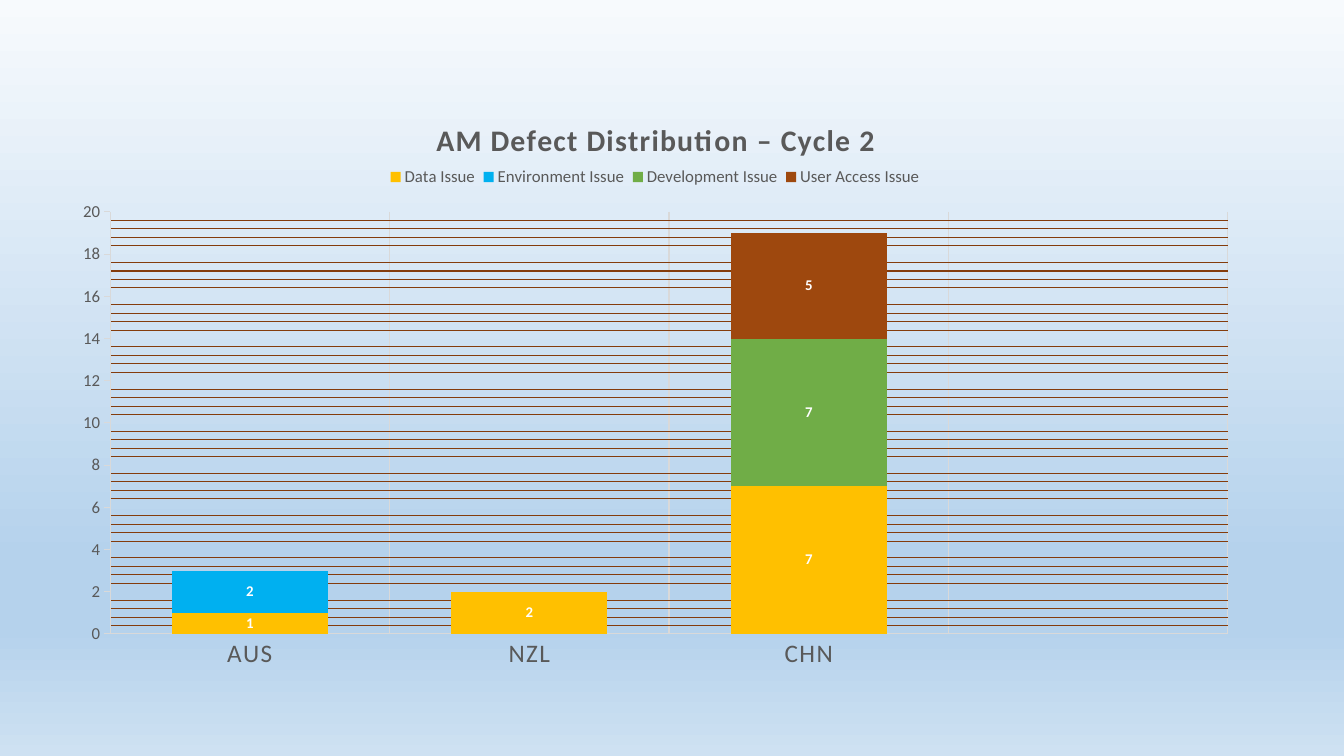
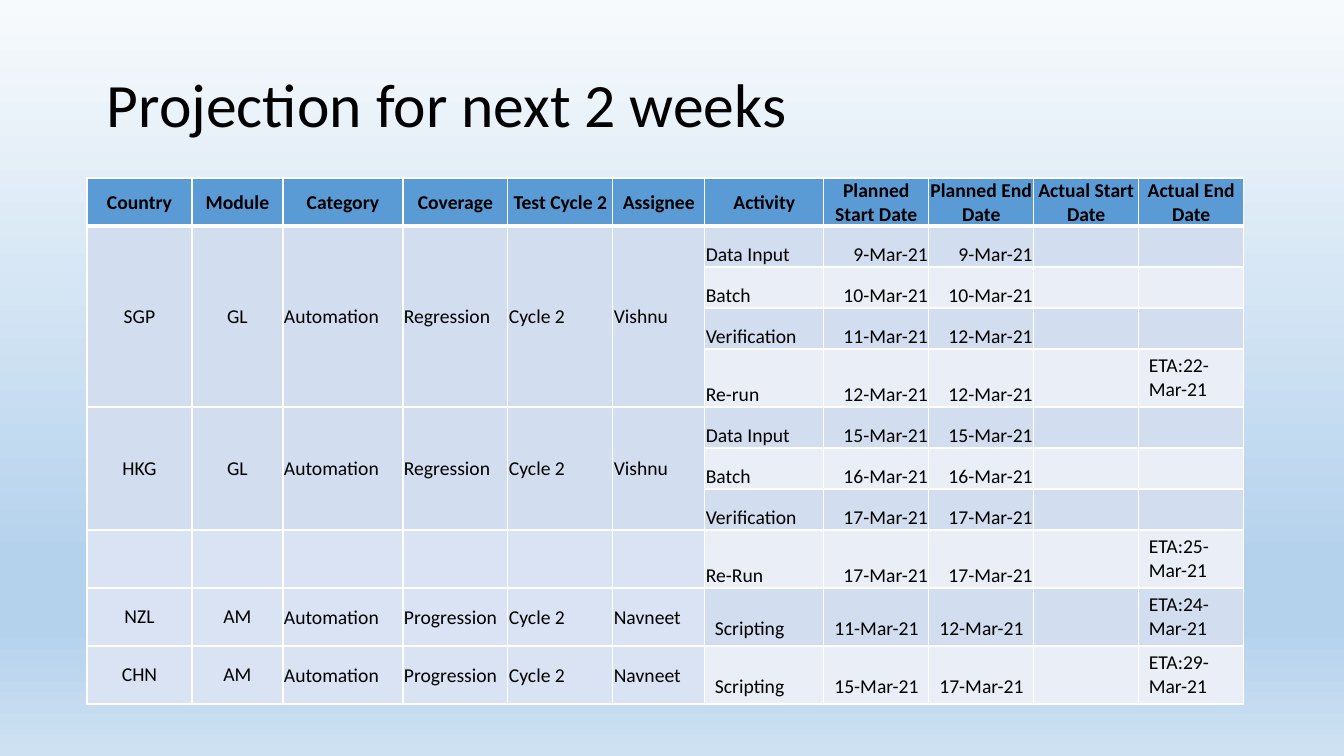
from lxml import etree
from pptx import Presentation
from pptx.chart.data import CategoryChartData
from pptx.dml.color import RGBColor
from pptx.enum.chart import XL_CHART_TYPE, XL_LEGEND_POSITION, XL_TICK_MARK
from pptx.enum.text import MSO_ANCHOR, PP_ALIGN
from pptx.oxml.ns import qn
from pptx.util import Emu, Pt

STACKED = XL_CHART_TYPE.COLUMN_STACKED
LEGEND_TOP = XL_LEGEND_POSITION.TOP
TICK_NONE, TICK_OUT = XL_TICK_MARK.NONE, XL_TICK_MARK.OUTSIDE
TOP, MIDDLE, BOTTOM = MSO_ANCHOR.TOP, MSO_ANCHOR.MIDDLE, MSO_ANCHOR.BOTTOM
LEFT, CENTER, RIGHT = PP_ALIGN.LEFT, PP_ALIGN.CENTER, PP_ALIGN.RIGHT

FONT = "Calibri"
COLORS = {
    "text": "000000", "white": "FFFFFF", "chart_text": "595959",
    "axis": "D9D9D9", "minor_grid": "843C0C",
    "data": "FFC000", "environment": "00B0F0",
    "development": "70AD47", "access": "9E480E",
    "header": "5B9BD5", "band_dark": "D2DEEF", "band_light": "EAEFF7",
    "pending": "DAE3F3",
}
BACKGROUND_STOPS = [(0, "F7FAFD"), (74, "B5D2EC"), (83, "B5D2EC"), (100, "CEE1F2")]

CHART_BOX = (58, 92, 1194, 590)
TITLE_BOX = (97, 56, 1159, 104)
TABLE_BOX = (87, 178, 1157, 526)

COUNTRIES = ["AUS", "NZL", "CHN", ""]
DEFECTS = [
    ("Data Issue", "data", [1, 2, 7, None]),
    ("Environment Issue", "environment", [2, None, None, None]),
    ("Development Issue", "development", [None, None, 7, None]),
    ("User Access Issue", "access", [None, None, 5, None]),
]

HEADINGS = ["Country", "Module", "Category", "Coverage", "Test Cycle 2", "Assignee",
            "Activity", "Planned Start Date", "Planned End Date",
            "Actual Start Date", "Actual End Date"]
COLUMN_WIDTHS = [105, 91, 120, 105, 105, 92, 119, 105, 105, 105, 105]
COLUMN_ALIGNS = [CENTER] * 2 + [LEFT] * 5 + [RIGHT] * 2 + [LEFT] * 2
COLUMN_ANCHORS = [MIDDLE] * 6 + [BOTTOM] * 3 + [TOP] * 2
HEADER_HEIGHT, ROW_HEIGHT, ETA_ROW_HEIGHT = 48, 41, 58
GROUP_COLUMNS = 6
PADDED_COLUMNS = {0, 1, 6, 7, 8}
# Each group: shared cells, fill, whether its cells are padded, and its activities.
SCHEDULE = [
    (["SGP", "GL", "Automation", "Regression", "Cycle 2", "Vishnu"], "band_dark", False, [
        ("Data Input", "9-Mar-21", "9-Mar-21", "", ""),
        ("Batch", "10-Mar-21", "10-Mar-21", "", ""),
        ("Verification", "11-Mar-21", "12-Mar-21", "", ""),
        ("Re-run", "12-Mar-21", "12-Mar-21", "", "ETA:22-Mar-21")]),
    (["HKG", "GL", "Automation", "Regression", "Cycle 2", "Vishnu"], "band_dark", False, [
        ("Data Input", "15-Mar-21", "15-Mar-21", "", ""),
        ("Batch", "16-Mar-21", "16-Mar-21", "", ""),
        ("Verification", "17-Mar-21", "17-Mar-21", "", "")]),
    ([""] * GROUP_COLUMNS, "pending", False, [
        ("Re-Run", "17-Mar-21", "17-Mar-21", "", "ETA:25-Mar-21")]),
    (["NZL", "AM", "Automation", "Progression", "Cycle 2", "Navneet"], "pending", True, [
        ("Scripting", "11-Mar-21", "12-Mar-21", "", "ETA:24-Mar-21")]),
    (["CHN", "AM", "Automation", "Progression", "Cycle 2", "Navneet"], "pending", True, [
        ("Scripting", "15-Mar-21", "17-Mar-21", "", "ETA:29-Mar-21")]),
]


def px(length):
    """Turn pixels at 100.8 to the inch into EMU."""
    return Emu(round(length * 914400 / 100.8))


def color(name):
    """Look up a named colour."""
    return RGBColor.from_string(COLORS[name])


def style_font(font, size, name, bold=False):
    """Set typeface, size, colour and weight."""
    font.name, font.size, font.bold = FONT, Pt(size), bold
    font.color.rgb = color(name)


def style_line(line, name):
    """Give a chart line its colour and the common width."""
    line.color.rgb = color(name)
    line.width = Pt(0.75)


def add_line(parent, tag, name, points):
    """Append a solid line in XML, where no public method reaches."""
    line = etree.SubElement(parent, qn(tag), w=str(int(Pt(points))))
    fill = etree.SubElement(line, qn("a:solidFill"))
    etree.SubElement(fill, qn("a:srgbClr"), val=COLORS[name])


def add_text(frame, text, size, align=LEFT, bold=False):
    """Write one run into the first paragraph of a frame."""
    para = frame.paragraphs[0]
    para.alignment = align
    span = para.add_run()
    span.text = text
    style_font(span.font, size, "text", bold)
    return para


def paint_background(master):
    """Put the vertical gradient on the master."""
    fill = master.background.fill
    fill.gradient()
    fill.gradient_angle = 270
    stops = master.element.find(".//" + qn("a:gsLst"))
    for stop in list(stops):
        stops.remove(stop)
    for position, value in BACKGROUND_STOPS:
        stop = etree.SubElement(stops, qn("a:gs"), pos=str(position * 1000))
        etree.SubElement(stop, qn("a:srgbClr"), val=value)


def place_in_chart(parent, before, box, part, inner=False):
    """Fix a chart part at its pixel box; its layout follows the child named before."""
    layout = parent.find(qn("c:layout"))
    if layout is not None:
        parent.remove(layout)
    layout = etree.Element(qn("c:layout"))
    if before:
        parent.find(qn(before)).addnext(layout)
    else:
        parent.insert(0, layout)
    manual = etree.SubElement(layout, qn("c:manualLayout"))
    if inner:
        etree.SubElement(manual, qn("c:layoutTarget"), val="inner")
    for key in ("xMode", "yMode"):
        etree.SubElement(manual, qn("c:" + key), val="edge")
    for key, offset, extent in zip("xywh", part, box[2:] * 2):
        etree.SubElement(manual, qn("c:" + key), val=f"{offset / extent:.4f}")


def style_axes(chart):
    """Style both axes and their gridlines."""
    countries, counts = chart.category_axis, chart.value_axis
    for axis, size, tick in ((countries, 18, TICK_NONE), (counts, 12, TICK_OUT)):
        style_font(axis.tick_labels.font, size, "chart_text")
        style_line(axis.format.line, "axis")
        axis.major_tick_mark, axis.minor_tick_mark = tick, TICK_NONE
    for properties in chart.element.iterfind(".//" + qn("c:catAx") + "//" + qn("a:defRPr")):
        properties.set("spc", "100")
    countries.has_major_gridlines = True
    style_line(countries.major_gridlines.format.line, "axis")
    counts.minimum_scale, counts.maximum_scale = 0, 20
    counts.major_unit, counts.minor_unit = 2, 0.4
    counts.has_major_gridlines, counts.has_minor_gridlines = False, True
    gridlines = chart.element.find(".//" + qn("c:minorGridlines"))
    add_line(etree.SubElement(gridlines, qn("c:spPr")), "a:ln", "minor_grid", 0.75)


def add_defect_chart(page, box):
    """Stacked columns of defects per country, with title and legend on top."""
    data = CategoryChartData()
    data.categories = COUNTRIES
    for name, _, values in DEFECTS:
        data.add_series(name, values)
    chart = page.shapes.add_chart(STACKED, *map(px, box), data).chart
    style_font(chart.font, 10, "text")

    chart.has_title = True
    span = chart.chart_title.text_frame.paragraphs[0].add_run()
    span.text = "AM Defect Distribution – Cycle 2"
    style_font(span.font, 21.3, "chart_text", True)
    title = chart.element.find(".//" + qn("c:title"))
    for properties in title.iter(qn("a:rPr")):
        properties.set("spc", "100")

    chart.has_legend = True
    chart.legend.position, chart.legend.include_in_layout = LEGEND_TOP, False
    style_font(chart.legend.font, 12, "chart_text")

    plot = chart.plots[0]
    plot.gap_width, plot.overlap, plot.vary_by_categories = 79, 100, False
    for series, (_, name, _) in zip(plot.series, DEFECTS):
        series.format.fill.solid()
        series.format.fill.fore_color.rgb = color(name)
        series.data_labels.show_value = True
        style_font(series.data_labels.font, 10.6, "white", True)
    style_axes(chart)

    legend = chart.element.find(".//" + qn("c:legend"))
    plot_area = chart.element.find(".//" + qn("c:plotArea"))
    place_in_chart(title, "c:tx", box, (373, 22, 448, 36))
    place_in_chart(legend, "c:legendPos", box, (324, 73, 546, 24))
    place_in_chart(plot_area, None, box, (52, 120, box[2] - 76, box[3] - 168), inner=True)


def add_title(page, box, text):
    """Large slide title."""
    frame = page.shapes.add_textbox(*map(px, box)).text_frame
    frame.word_wrap, frame.vertical_anchor = True, MIDDLE
    add_text(frame, text, 44).line_spacing = 0.9


def fill_cell(cell, text, fill, align, anchor, padded=False, header=False, top=1):
    """Borders, fill and text of one table cell."""
    properties = cell._tc.get_or_add_tcPr()
    for side, width in (("L", 1), ("R", 1), ("T", top), ("B", 3 if header else 1)):
        add_line(properties, "a:ln" + side, "white", width)
    cell.fill.solid()
    cell.fill.fore_color.rgb = color(fill)
    cell.vertical_anchor = anchor
    if not padded:
        cell.margin_left = cell.margin_right = cell.margin_top = px(1)
        cell.margin_bottom = 0
    if text:
        add_text(cell.text_frame, text, 14, align, header)


def add_schedule(page, box):
    """Table of activities, with shared cells merged per country."""
    activity_count = sum(len(group[3]) for group in SCHEDULE)
    table = page.shapes.add_table(activity_count + 1, len(HEADINGS), *map(px, box)).table
    table.horz_banding = False
    for column, width in zip(table.columns, COLUMN_WIDTHS):
        column.width = px(width)
    table.rows[0].height = px(HEADER_HEIGHT)
    for index, heading in enumerate(HEADINGS):
        fill_cell(table.cell(0, index), heading, "header", CENTER, MIDDLE, header=True)

    row = 1
    for shared, group_fill, roomy, activities in SCHEDULE:
        first = row
        for activity in activities:
            table.rows[row].height = px(ETA_ROW_HEIGHT if activity[-1] else ROW_HEIGHT)
            band = "band_dark" if row % 2 else "band_light"
            group_texts = shared if row == first else [""] * GROUP_COLUMNS
            for index, text in enumerate([*group_texts, *activity]):
                padded = index > 8 or (roomy and index in PADDED_COLUMNS)
                fill_cell(table.cell(row, index), text,
                          group_fill if index < GROUP_COLUMNS else band,
                          COLUMN_ALIGNS[index], COLUMN_ANCHORS[index],
                          padded, top=3 if row == 1 else 1)
            row += 1
        if row - first > 1:
            for index in range(GROUP_COLUMNS):
                table.cell(first, index).merge(table.cell(row - 1, index))


def build_deck():
    """Build both slides and save them."""
    deck = Presentation()
    deck.slide_width, deck.slide_height = px(1344), px(756)
    paint_background(deck.slide_master)
    blank = deck.slide_layouts[6]
    add_defect_chart(deck.slides.add_slide(blank), CHART_BOX)
    projection = deck.slides.add_slide(blank)
    add_title(projection, TITLE_BOX, "Projection for next 2 weeks")
    add_schedule(projection, TABLE_BOX)
    deck.save("out.pptx")


build_deck()
